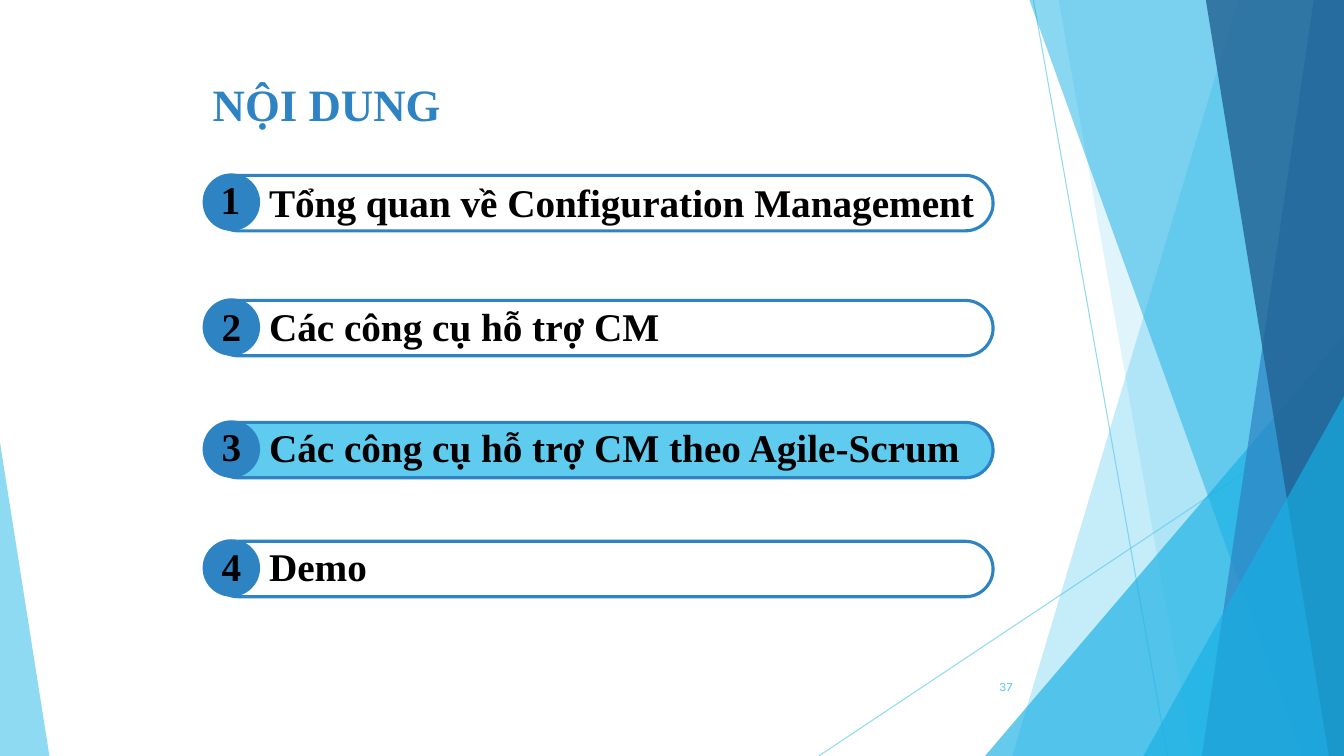
from dataclasses import dataclass

from lxml import etree
from pptx import Presentation
from pptx import util as u
from pptx.dml import color
from pptx.enum import shapes, text
from pptx.oxml import ns

COLORS = {"sky": "5FCBEF", "cyan": "17B0E4", "blue": "2E83C3", "navy": "226292",
          "black": "000000"}
WIDTH, HEIGHT = 13.33, 7.5
SERIF = "Times New Roman"


@dataclass(frozen=True)
class Ray:
    """A thin line in the background."""
    start: tuple[float, float]
    end: tuple[float, float]


@dataclass(frozen=True)
class Band:
    """A strip from the top edge to the bottom edge, closed by the right edge."""
    top: float
    bottom: float
    fill: str
    opacity: int


@dataclass(frozen=True)
class Wedge:
    """A right triangle standing on the bottom edge."""
    left: float
    top: float
    width: float
    apex: float
    fill: str
    opacity: int


@dataclass(frozen=True)
class Topic:
    """One numbered entry of the agenda."""
    label: str
    bar_top: float
    label_top: float
    number_top: float
    number_left: float = 2.1
    label_width: float = 7.28
    current: bool = False


RAYS = [Ray((10.25, 0), (11.58, HEIGHT)), Ray((WIDTH, 4.03), (8.12, HEIGHT))]
FACETS = [
    Band(12.28, 10.04, "sky", 36),
    Band(10.5, 11.83, "sky", 20),
    Wedge(9.77, 3.33, 3.56, 1, "cyan", 66),
    Band(10.21, 12.91, "cyan", 50),
    Band(13.03, 11.92, "blue", 70),
    Band(11.96, 13.18, "navy", 80),
    Wedge(11.34, 3.93, 1.99, 1, "cyan", 66),
    Wedge(0, 4.39, 0.49, 0, "sky", 70),
]
TOPICS = [
    Topic("Tổng quan về Configuration Management", 1.74, 1.72, 1.69, number_left=2.09),
    Topic("Các công cụ hỗ trợ CM", 2.98, 2.95, 2.95),
    Topic("Các công cụ hỗ trợ CM theo Agile-Scrum", 4.19, 4.15, 4.14, current=True),
    Topic("Demo", 5.37, 5.33, 5.33, label_width=5.07),
]


def rgb(name: str) -> color.RGBColor:
    """Return a named colour."""
    return color.RGBColor.from_string(COLORS[name])


def set_opacity(element, percent: int) -> None:
    """Set the opacity of the first colour inside an element."""
    solid = element.find(".//" + ns.qn("a:srgbClr"))
    etree.SubElement(solid, ns.qn("a:alpha"), val=str(percent * 1000))


def paint(shape, fill: str | None, opacity: int = 100, outline: str | None = None) -> None:
    """Give a shape its fill and outline without a shadow."""
    shape.shadow.inherit = False
    if fill:
        shape.fill.solid()
        shape.fill.fore_color.rgb = rgb(fill)
        if opacity < 100:
            set_opacity(shape.fill._xPr, opacity)
    else:
        shape.fill.background()
    if outline:
        shape.line.color.rgb = rgb(outline)
        shape.line.width = u.Pt(2.25)
    else:
        shape.line.fill.background()


def add_preset(slide, kind, box: tuple[float, float, float, float]):
    """Add a preset shape in a box given in inches."""
    return slide.shapes.add_shape(kind, *map(u.Inches, box))


def add_ray(slide, ray: Ray) -> None:
    """Draw a background line."""
    line = slide.shapes.add_connector(shapes.MSO_CONNECTOR.STRAIGHT,
                                      *map(u.Inches, ray.start + ray.end))
    line.line.color.rgb = rgb("sky")
    line.line.width = u.Pt(0.75)
    properties = line._element.spPr
    set_opacity(properties, 70)
    etree.SubElement(properties, ns.qn("a:effectLst"))


def add_facet(slide, facet: Band | Wedge) -> None:
    """Draw a translucent background facet."""
    if isinstance(facet, Band):
        builder = slide.shapes.build_freeform(u.Inches(facet.top), 0)
        corners = [(WIDTH, 0), (WIDTH, HEIGHT), (facet.bottom, HEIGHT)]
        builder.add_line_segments([(u.Inches(x), u.Inches(y)) for x, y in corners])
        shape = builder.convert_to_shape()
    else:
        box = (facet.left, facet.top, facet.width, HEIGHT - facet.top)
        shape = add_preset(slide, shapes.MSO_SHAPE.ISOSCELES_TRIANGLE, box)
        shape.adjustments[0] = facet.apex
    paint(shape, facet.fill, facet.opacity)


def write(shape, content: str, *, size: float = 28, fill: str = "black", font: str = SERIF,
          bold: bool = True, align=text.PP_ALIGN.LEFT, anchor=text.MSO_ANCHOR.TOP) -> None:
    """Write one formatted paragraph into a shape."""
    frame = shape.text_frame
    frame.word_wrap = True
    frame.auto_size = text.MSO_AUTO_SIZE.NONE
    frame.vertical_anchor = anchor
    paragraph = frame.paragraphs[0]
    paragraph.text = content
    paragraph.alignment = align
    paragraph.font.name = font
    paragraph.font.size = u.Pt(size)
    paragraph.font.bold = bold
    paragraph.font.color.rgb = rgb(fill)


def add_text(slide, box: tuple[float, float, float, float], content: str, **formatting) -> None:
    """Add a text box with formatted text."""
    write(slide.shapes.add_textbox(*map(u.Inches, box)), content, **formatting)


def add_topic(slide, number: int, topic: Topic) -> None:
    """Draw an agenda bar with its numbered disc and label."""
    bar = add_preset(slide, shapes.MSO_SHAPE.ROUNDED_RECTANGLE, (2.09, topic.bar_top, 7.76, 0.55))
    bar.adjustments[0] = 0.5
    paint(bar, "sky" if topic.current else None, outline="blue")
    disc = add_preset(slide, shapes.MSO_SHAPE.OVAL, (2.01, topic.bar_top - 0.02, 0.57, 0.57))
    paint(disc, "blue")
    add_text(slide, (2.57, topic.label_top, topic.label_width, 0.57), topic.label)
    add_text(slide, (topic.number_left, topic.number_top, 0.31, 0.57), str(number))


def main() -> None:
    """Build the agenda slide."""
    presentation = Presentation()
    presentation.slide_width, presentation.slide_height = u.Inches(WIDTH), u.Inches(HEIGHT)
    slide = presentation.slides.add_slide(presentation.slide_layouts.get_by_name("Title Only"))
    for ray in RAYS:
        add_ray(slide, ray)
    for facet in FACETS:
        add_facet(slide, facet)
    for number, topic in enumerate(TOPICS, 1):
        add_topic(slide, number, topic)
    title = slide.shapes.title
    title.left, title.top, title.width, title.height = map(u.Inches, (2.01, 0.71, 2.63, 0.64))
    write(title, "NỘI DUNG", size=32, fill="blue")
    add_text(slide, (9.39, 6.61, 0.75, 0.4), "37", size=9, fill="sky", font="Karla", bold=False,
             align=text.PP_ALIGN.RIGHT, anchor=text.MSO_ANCHOR.MIDDLE)
    presentation.save("out.pptx")


if __name__ == "__main__":
    main()
